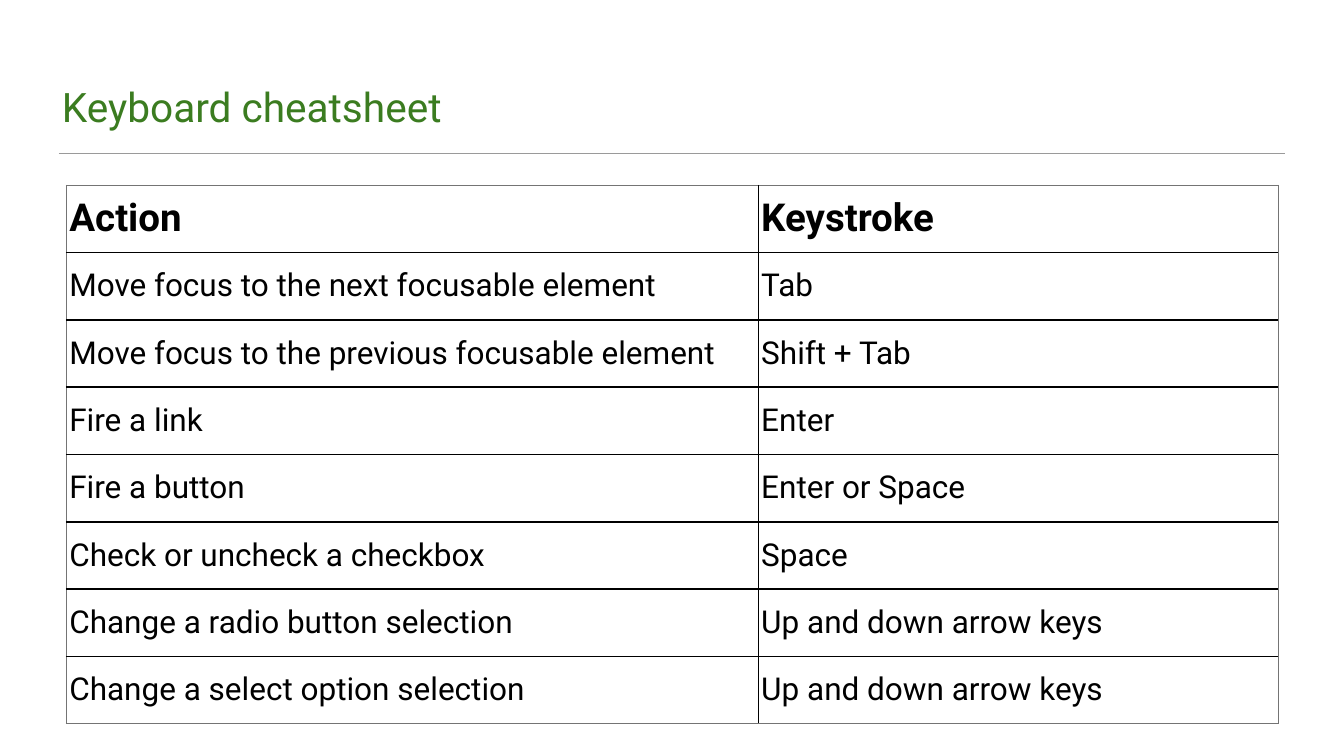
import pptx
import pptx.util
import pptx.dml.color
import pptx.enum.shapes
import pptx.enum.text
from lxml import etree

Pt = pptx.util.Pt
MIDDLE = pptx.enum.text.MSO_ANCHOR.MIDDLE
BOTTOM = pptx.enum.text.MSO_ANCHOR.BOTTOM
A = "{http://schemas.openxmlformats.org/drawingml/2006/main}"
COLORS = {"title": "3B7C20", "rule": "9A9A9A", "frame": "747474",
          "grid": "000000", "text": "000000", "cell": "FFFFFF"}
INSET = Pt(4.5)
MARGINS = {"margin_left": INSET, "margin_right": INSET,
           "margin_top": INSET, "margin_bottom": INSET}
SHORTCUTS = [
    ("Action", "Keystroke"),
    ("Move focus to the next focusable element", "Tab"),
    ("Move focus to the previous focusable element", "Shift + Tab"),
    ("Fire a link", "Enter"),
    ("Fire a button", "Enter or Space"),
    ("Check or uncheck a checkbox", "Space"),
    ("Change a radio button selection", "Up and down arrow keys"),
    ("Change a select option selection", "Up and down arrow keys"),
]
COLUMN_WIDTHS = [988.5, 742.5]
ROW_HEIGHT = 96.2


def style_text(paragraph, size, color, bold=False):
    font = paragraph.font
    for name, value in {"name": "Roboto", "size": Pt(size), "bold": bold}.items():
        setattr(font, name, value)
    font.color.rgb = pptx.dml.color.RGBColor.from_string(COLORS[color])
    paragraph.alignment = pptx.enum.text.PP_ALIGN.LEFT


def add_border(cell, side, color, width):
    line = etree.SubElement(cell._tc.get_or_add_tcPr(), A + "ln" + side, w=str(Pt(width)))
    fill = etree.SubElement(line, A + "solidFill")
    etree.SubElement(fill, A + "srgbClr", val=COLORS[color])


deck = pptx.Presentation()
deck.slide_width, deck.slide_height = Pt(1920), Pt(1080)
slide = deck.slides.add_slide(deck.slide_layouts[5])

rule = slide.shapes.add_connector(
    pptx.enum.shapes.MSO_CONNECTOR.STRAIGHT, Pt(84), Pt(218.5), Pt(1836), Pt(218.5))
rule.line.width = Pt(1)
rule.line.color.rgb = pptx.dml.color.RGBColor.from_string(COLORS["rule"])
etree.SubElement(rule._element.spPr, A + "effectLst")

title = slide.shapes.title
title_box = {"left": Pt(84), "top": Pt(36.5), "width": Pt(1751), "height": Pt(155)}
for name, value in title_box.items():
    setattr(title, name, value)
title_format = {**MARGINS, "vertical_anchor": BOTTOM, "word_wrap": True,
                "auto_size": pptx.enum.text.MSO_AUTO_SIZE.NONE}
for name, value in title_format.items():
    setattr(title.text_frame, name, value)
title.text_frame.text = "Keyboard cheatsheet"
style_text(title.text_frame.paragraphs[0], 58, "title")

cheatsheet = slide.shapes.add_table(
    len(SHORTCUTS), len(COLUMN_WIDTHS), Pt(94.5), Pt(264.5),
    Pt(sum(COLUMN_WIDTHS)), Pt(ROW_HEIGHT * len(SHORTCUTS))).table
cheatsheet.horz_banding = False
for column, width in zip(cheatsheet.columns, COLUMN_WIDTHS):
    column.width = Pt(width)

last_row, last_column = len(SHORTCUTS) - 1, len(COLUMN_WIDTHS) - 1
for r, shortcut in enumerate(SHORTCUTS):
    cheatsheet.rows[r].height = Pt(ROW_HEIGHT)
    for c, wording in enumerate(shortcut):
        cell = cheatsheet.cell(r, c)
        cell.text = wording
        for name, value in {**MARGINS, "vertical_anchor": MIDDLE}.items():
            setattr(cell, name, value)
        is_header = r == 0
        style_text(cell.text_frame.paragraphs[0], 55 if is_header else 45, "text", is_header)
        # Outer edges are thin and grey; inner row lines are the heaviest.
        for side, is_outer, inner_width in [("L", c == 0, 1), ("R", c == last_column, 1),
                                            ("T", r == 0, 3), ("B", r == last_row, 3)]:
            add_border(cell, side, "frame" if is_outer else "grid", 1 if is_outer else inner_width)
        cell.fill.solid()
        cell.fill.fore_color.rgb = pptx.dml.color.RGBColor.from_string(COLORS["cell"])

deck.save("out.pptx")
